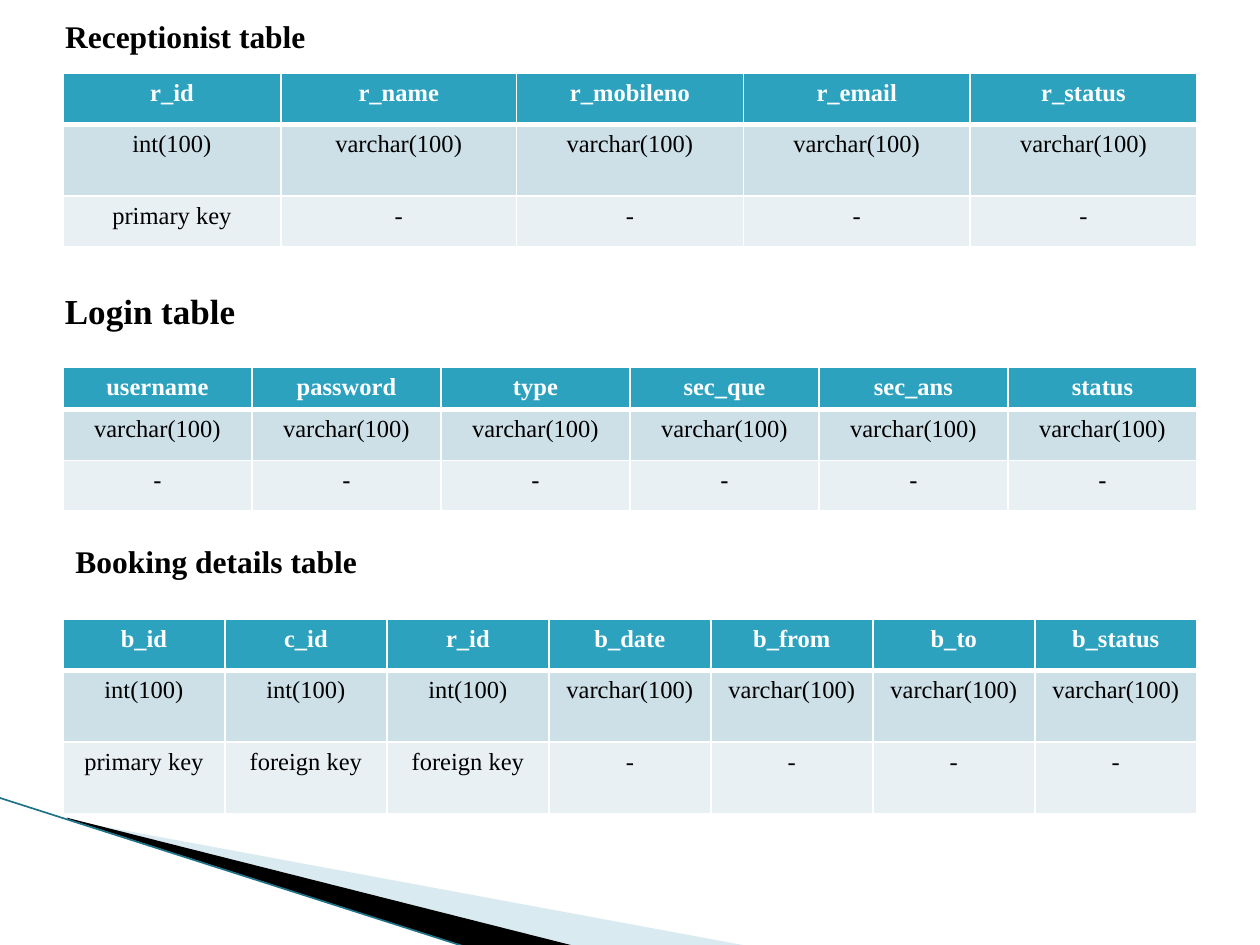
from lxml import etree
from pptx import Presentation
from pptx import util as u
from pptx.dml.color import RGBColor
from pptx.enum import shapes, text
from pptx.oxml import ns

COLS, ROWS = 100, 75
SERIF, MONO = "Times New Roman", "DejaVu Sans Mono"


def tint(color, code):
    color.rgb = RGBColor.from_string(code)


def node(up, tag, **vals):
    return etree.SubElement(up, ns.qn(tag), **vals)


class Deck:
    ink, white, head = "000000", "FFFFFF", "2DA2BF"
    bands = (head, "CDE0E8", "E8F0F4")

    def __init__(self):
        self.prs = Presentation()
        self.prs.slide_width, self.prs.slide_height = u.Inches(10), u.Inches(7.5)
        self.slide = self.prs.slides.add_slide(self.prs.slide_layouts[5])
        self.shapes = self.slide.shapes

    def x(self, cols):
        return int(self.prs.slide_width * cols / COLS)

    def y(self, rows):
        return int(self.prs.slide_height * rows / ROWS)

    def box(self, left, top, wide, high):
        return self.x(left), self.y(top), self.x(wide), self.y(high)

    def put(self, shape, place):
        shape.left, shape.top, shape.width, shape.height = self.box(*place)

    def run(self, para, words, size, code, bold=False, face=SERIF):
        run = para.add_run()
        run.text = words
        run.font.size, run.font.bold, run.font.name = u.Pt(size), bold, face
        tint(run.font.color, code)

    def label(self, shape, words, size):
        frame = shape.text_frame
        frame.word_wrap = True
        frame.auto_size = text.MSO_AUTO_SIZE.NONE
        frame.vertical_anchor = text.MSO_ANCHOR.TOP
        para = frame.paragraphs[0]
        para.alignment = text.PP_ALIGN.LEFT
        self.run(para, words, size, self.ink, True)

    def title(self, words, place, size):
        self.put(self.shapes.title, place)
        self.label(self.shapes.title, words, size)

    def heading(self, words, place, size):
        self.label(self.shapes.add_textbox(*self.box(*place)), words, size)

    def wedge(self, place, points, code, alpha=None):
        spots = [(self.x(a), self.y(b)) for a, b in points]
        form = self.shapes.build_freeform(*spots[0])
        form.add_line_segments(spots[1:], close=True)
        shape = form.convert_to_shape()
        self.put(shape, place)
        props = shape.element.spPr
        track = props.find(".//" + ns.qn("a:path"))
        track.set("w", str(shape.width))
        track.set("h", str(shape.height))
        for spot, (a, b) in zip(track.iter(ns.qn("a:pt")), spots):
            spot.set("x", str(a - shape.left))
            spot.set("y", str(b - shape.top))
        shape.shadow.inherit = False
        shape.fill.solid()
        tint(shape.fill.fore_color, code)
        shape.line.fill.background()
        if alpha:
            hue = props.find(".//" + ns.qn("a:srgbClr"))
            node(hue, "a:alpha", val=str(alpha * 1000))

    def line(self, start, end, code, width):
        line = self.shapes.add_connector(
            shapes.MSO_CONNECTOR.STRAIGHT,
            self.x(start[0]), self.y(start[1]), self.x(end[0]), self.y(end[1]))
        tint(line.line.color, code)
        line.line.width = u.Pt(width)
        node(line.element.spPr, "a:effectLst")

    def edges(self, cell, row):
        props = cell._tc.get_or_add_tcPr()
        widths = {"L": 1, "R": 1, "T": 3 if row == 1 else 1, "B": 3 if row == 0 else 1}
        for side, width in widths.items():
            edge = node(props, "a:ln" + side, w=str(u.Pt(width)))
            node(node(edge, "a:solidFill"), "a:srgbClr", val=self.white)

    def table(self, top, wides, highs, data, dash=SERIF):
        place = self.box(5, top, sum(wides), sum(highs))
        grid = self.shapes.add_table(len(data), len(wides), *place).table
        for col, wide in zip(grid.columns, wides):
            col.width = self.x(wide)
        for row, (high, cells) in enumerate(zip(highs, data)):
            grid.rows[row].height = self.y(high)
            for col, words in enumerate(cells):
                cell = grid.cell(row, col)
                self.edges(cell, row)
                cell.fill.solid()
                tint(cell.fill.fore_color, self.bands[row])
                para = cell.text_frame.paragraphs[0]
                para.alignment = text.PP_ALIGN.CENTER
                top_row = row == 0
                self.run(para, words, 14, self.white if top_row else self.ink,
                         top_row, dash if words == "-" else SERIF)


def main():
    num, char = "int(100)", "varchar(100)"
    deck = Deck()
    deck.wedge((7.8, 54.7, 41.6, 15.8),
               [(5.5, 65.1), (59.5, 75.1), (45.6, 75.1), (5.5, 65)], "A0CBDC", 40)
    deck.wedge((-0.6, 63.3, 41.6, 9.2),
               [(5.3, 64.9), (45.7, 75.1), (37.2, 75.2), (5.4, 65)], deck.ink)
    deck.line((-0.1, 63.3), (37.1, 75.2), "1F7388", 0.95)

    deck.title("Receptionist table", (4.17, 0.83, 35, 4), 18)
    deck.table(5.83, [17.3, 18.7, 18, 18, 18], [4.06, 5.67, 4.06], [
        ["r_id", "r_name", "r_mobileno", "r_email", "r_status"],
        [num] + [char] * 4,
        ["primary key"] + ["-"] * 4])

    deck.heading("Login table", (4.17, 22.5, 25, 4.4), 20)
    deck.table(29.16, [15] * 6, [3.36, 4.03, 4.03], [
        ["username", "password", "type", "sec_que", "sec_ans", "status"],
        [char] * 6,
        ["-"] * 6], MONO)

    deck.heading("Booking details table", (5, 42.5, 37.5, 4), 18)
    deck.table(49.16, [90 / 7] * 7, [4.06, 5.67, 5.67], [
        ["b_id", "c_id", "r_id", "b_date", "b_from", "b_to", "b_status"],
        [num] * 3 + [char] * 4,
        ["primary key"] + ["foreign key"] * 2 + ["-"] * 4])
    deck.prs.save("out.pptx")


if __name__ == "__main__":
    main()
